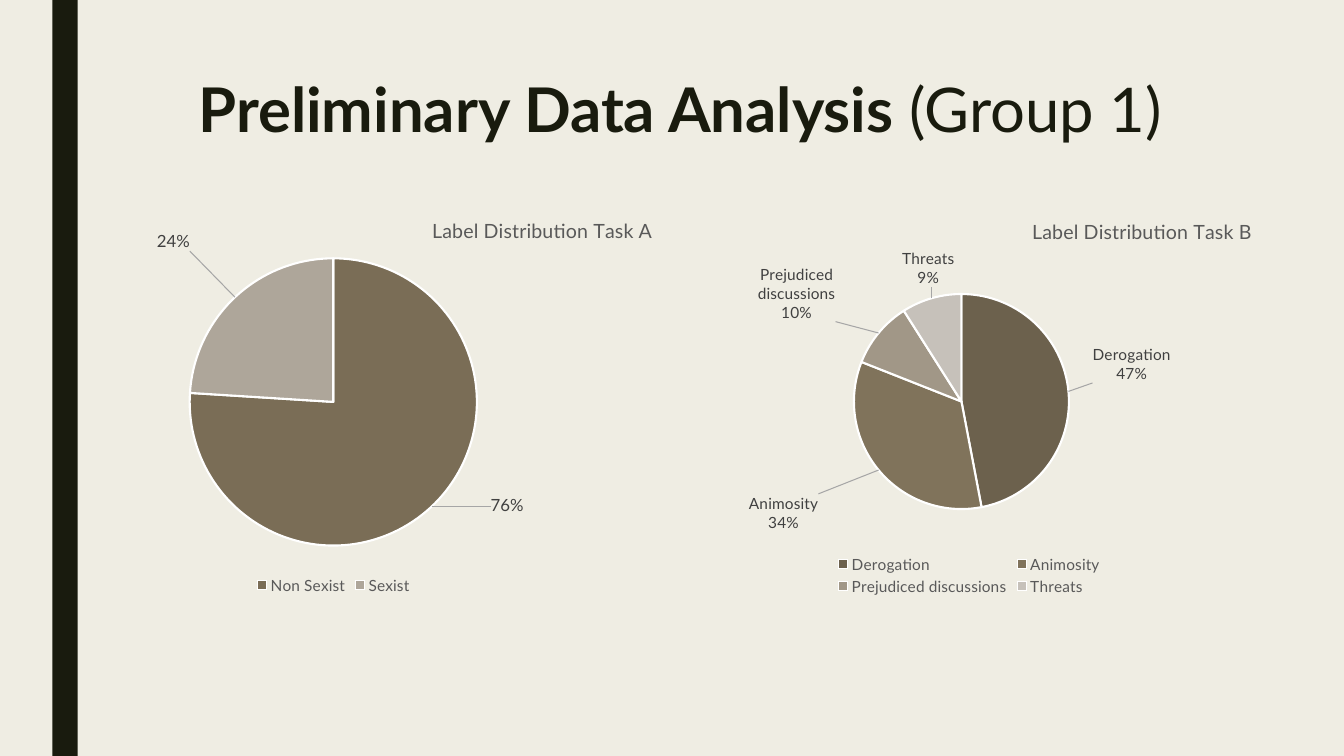
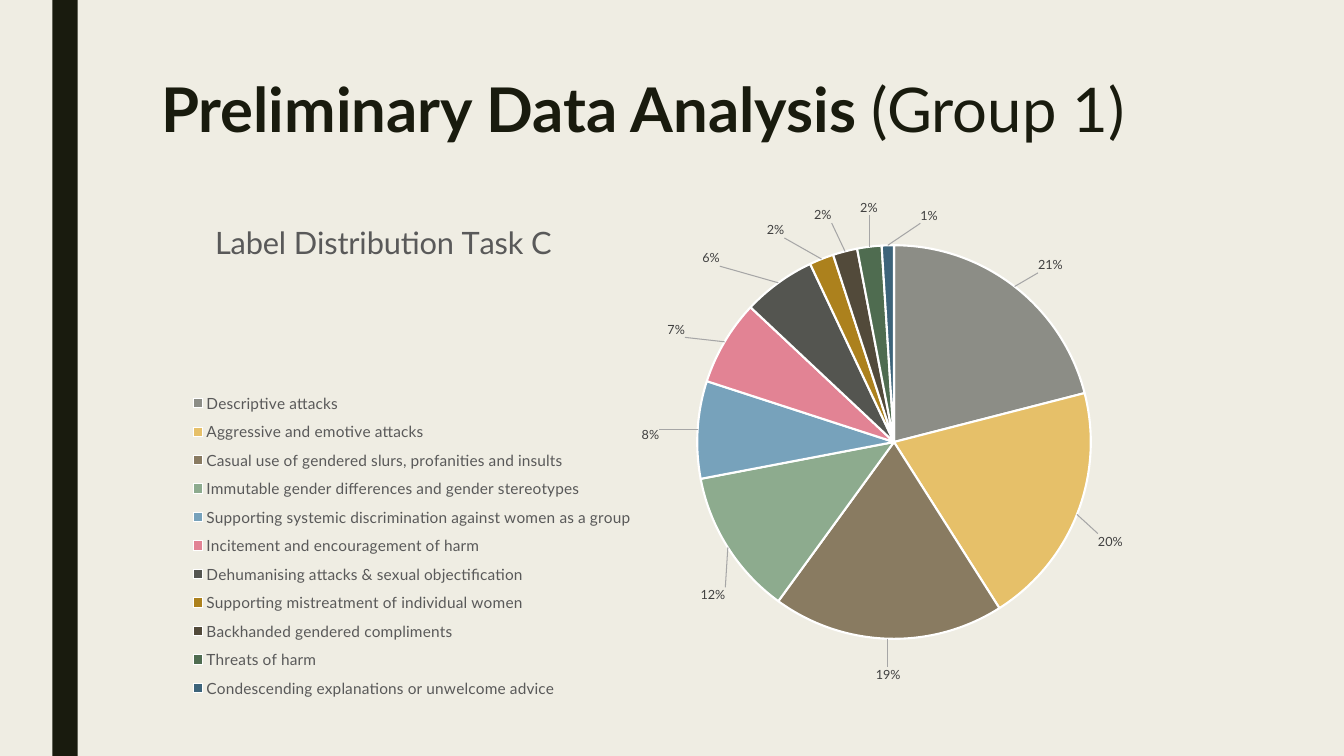
from copy import deepcopy
from dataclasses import dataclass
from math import copysign, cos, pi, sin

from pptx import Presentation
from pptx.chart import data as cd
from pptx.dml import color as dc
from pptx.enum import chart as ec, shapes, text
from pptx.oxml import ns, xmlchemy
from pptx.util import Cm, Pt


@dataclass(frozen=True)
class Theme:
    """Colours, font and type sizes shared by all slides."""
    font: str = "Lato"
    paper: str = "EFEDE3"
    ink: str = "191B0E"
    edge: str = "FFFFFF"
    muted: str = "595959"
    label: str = "404040"
    line: str = "A6A6A6"
    head: int = 44
    base: int = 10
    legend: int = 11


LOOK = Theme()
WIDE, HIGH = 33.87, 19.05

PIES_AB = [
    dict(title="Label Distribution Task A", size=14, spot=(10.8, 5.35),
         box=(-4.93, 4.78, 26.67, 10.31), hub=(8.4, 10.13), rad=3.62,
         label=12, names=False, legend=None,
         rows=[("Non Sexist", 76, "7A6D56", (12.73, 12.68)),
               ("Sexist", 24, "AEA69A", (4.42, 6.12))]),
    dict(title="Label Distribution Task B", size=14, spot=(25.92, 5.38),
         box=(16.18, 4.78, 16.54, 10.31), hub=(24.23, 10.12), rad=2.71,
         label=11, names=True, legend=(21, 13.9, 6.85, 1.2),
         rows=[("Derogation", 47, "6C614D", (28.54, 9.3)),
               ("Animosity", 34, "80735B", (19.78, 12.88)),
               ("Prejudiced discussions", 10, "A19787", (20.2, 7.43)),
               ("Threats", 9, "C6C1BA", (23.52, 6.75))]),
]
PIE_C = dict(
    title="Label Distribution Task C", size=22, spot=(5.28, 5.42),
    box=(3.81, 4.24, 27.84, 14.3), hub=(22.53, 11.14), rad=4.96,
    label=9, names=False, legend=(4.74, 9.68, 11.3, 8.15),
    rows=[
        ("Descriptive attacks", 21, "8C8D86", (26.41, 6.7)),
        ("Aggressive and emotive attacks", 20, "E6C069", (27.97, 13.56)),
        ("Casual use of gendered slurs, profanities and insults", 19,
         "897B61", (22.38, 17.01)),
        ("Immutable gender differences and gender stereotypes", 12,
         "8DAB8E", (17.99, 14.94)),
        ("Supporting systemic discrimination against women as a group", 8,
         "77A2BB", (16.38, 10.96)),
        ("Incitement and encouragement of harm", 7, "E28394", (17.05, 8.37)),
        ("Dehumanising attacks & sexual objectification", 6,
         "545550", (17.97, 6.53)),
        ("Supporting mistreatment of individual women", 2,
         "AC811D", (19.63, 5.8)),
        ("Backhanded gendered compliments", 2, "524A3A", (20.84, 5.42)),
        ("Threats of harm", 2, "4F6C50", (22.02, 5.22)),
        ("Condescending explanations or unwelcome advice", 1,
         "3D647A", (23.41, 5.42)),
    ])


def apply(item, **vals):
    """Set each given attribute on the item."""
    for key, val in vals.items():
        setattr(item, key, val)


def tint(code):
    """Turn a hex code into a colour."""
    return dc.RGBColor.from_string(code)


def style(font, size, code, bold=False):
    """Give a font its face, size, weight and colour."""
    apply(font, name=LOOK.font, size=Pt(size), bold=bold)
    font.color.rgb = tint(code)


def node(tag, val=None):
    """Make a chart XML element, with a val if given."""
    elem = xmlchemy.OxmlElement(tag)
    if val is not None:
        elem.set("val", str(val))
    return elem


def layout(parent, index, vals, edge=True, inner=False):
    """Put a manual layout into a chart part; vals are x, y, w, h."""
    old = parent.find(ns.qn("c:layout"))
    if old is not None:
        parent.remove(old)
    outer, man = node("c:layout"), node("c:manualLayout")
    outer.append(man)
    if inner:
        man.append(node("c:layoutTarget", "inner"))
    if edge:
        for key in "xy":
            man.append(node(f"c:{key}Mode", "edge"))
    for key, val in zip("xywh", vals):
        man.append(node(f"c:{key}", round(val, 4)))
    parent.insert(index, outer)


def share(box, area):
    """Turn a slide area in cm into fractions of the chart box."""
    left, top, wide, high = box
    fracs = [(area[0] - left) / wide, (area[1] - top) / high]
    return fracs + [val / size for val, size in zip(area[2:], (wide, high))]


def side(val):
    """Tell the side of an axis, 0 within five degrees of it."""
    return 0 if abs(val) < sin(pi / 36) else copysign(1, val)


def shift(pie, name, turn, value, goal):
    """Find a label's move from its inside-end place to its goal."""
    point = pie["label"] * 2.54 / 72
    words = name.split() if pie["names"] else []
    wide = max([0.66 * len(f"{value}%")] + [0.5 * len(w) for w in words])
    sizes = wide * point, 1.2 * point * (len(words) + 1)
    moves = []
    for axis, way in enumerate((sin(turn), -cos(turn))):
        inset = side(way) * (sizes[axis] / 2 + 0.15)
        # On an axis the label is centred across it.
        start = pie["hub"][axis] + pie["rad"] * way - inset
        moves.append((goal[axis] - start) / pie["box"][axis + 2])
    return moves


def leader(root):
    """Add thin leader lines to the label set."""
    lines, props = node("c:leaderLines"), node("c:spPr")
    stroke, fill = node("a:ln"), node("a:solidFill")
    stroke.set("w", str(Pt(0.75)))
    fill.append(node("a:srgbClr", LOOK.line))
    stroke.append(fill)
    props.append(stroke)
    lines.append(props)
    root.append(lines)


def mark(series, pie):
    """Label the slices and move each label to its goal."""
    labels = series.data_labels
    apply(labels, show_value=False, show_percentage=True,
          show_category_name=pie["names"], number_format="0%",
          number_format_is_linked=False,
          position=ec.XL_LABEL_POSITION.INSIDE_END)
    style(labels.font, pie["label"], LOOK.label)
    root = labels._element
    for old in root.findall(ns.qn("c:showLeaderLines")):
        root.remove(old)
    gap = node("c:separator")
    gap.text = "\n"
    root.append(gap)
    shared = list(root)
    total, done = sum(row[1] for row in pie["rows"]), 0
    for index, (name, value, _, goal) in enumerate(pie["rows"]):
        turn = 2 * pi * (done + value / 2) / total
        done += value
        item = node("c:dLbl")
        item.append(node("c:idx", index))
        layout(item, 1, shift(pie, name, turn, value, goal), edge=False)
        for part in shared:
            item.append(deepcopy(part))
        root.insert(index, item)
    root.append(node("c:showLeaderLines", 1))
    leader(root)


def draw_pie(slide, pie):
    """Add one pie chart with title, legend and labels."""
    box, rows = pie["box"], pie["rows"]
    data = cd.CategoryChartData()
    data.categories = [row[0] for row in rows]
    data.add_series(pie["title"], [row[1] for row in rows])
    chart = slide.shapes.add_chart(
        ec.XL_CHART_TYPE.PIE, *map(Cm, box), data).chart
    style(chart.font, LOOK.base, "000000")

    apply(chart, has_title=True, has_legend=True)
    frame = chart.chart_title.text_frame
    frame.text = pie["title"]
    style(frame.paragraphs[0].runs[0].font, pie["size"], LOOK.muted)
    layout(chart.chart_title._element, 1, share(box, pie["spot"]))

    legend = chart.legend
    apply(legend, position=ec.XL_LEGEND_POSITION.BOTTOM,
          include_in_layout=False)
    style(legend.font, LOOK.legend, LOOK.muted)
    if pie["legend"]:
        layout(legend._element, 1, share(box, pie["legend"]))

    rad = pie["rad"]
    area = [mid - rad for mid in pie["hub"]] + [2 * rad] * 2
    root = chart._chartSpace.find(".//" + ns.qn("c:plotArea"))
    layout(root, 0, share(box, area), inner=True)

    plot = chart.plots[0]
    plot.vary_by_categories = True
    series = plot.series[0]
    for index, row in enumerate(rows):
        form = series.points[index].format
        form.fill.solid()
        form.fill.fore_color.rgb = tint(row[2])
        form.line.color.rgb = tint(LOOK.edge)
        form.line.width = Pt(1.5)
    mark(series, pie)


def draw_band(slide):
    """Add the dark band at the left."""
    band = slide.shapes.add_shape(
        shapes.MSO_SHAPE.RECTANGLE, Cm(1.32), 0, Cm(0.64), Cm(HIGH))
    band.shadow.inherit = False
    band.fill.solid()
    band.fill.fore_color.rgb = tint(LOOK.ink)
    band.line.fill.background()


def draw_head(slide, align):
    """Add the slide title, bold with a plain ending."""
    frame = slide.shapes.add_textbox(
        *map(Cm, (3.81, 1.9, 26.67, 4.11))).text_frame
    apply(frame, word_wrap=True, vertical_anchor=text.MSO_ANCHOR.TOP)
    para = frame.paragraphs[0]
    apply(para, alignment=align, line_spacing=0.89)
    for words, bold in (("Preliminary Data Analysis ", True),
                        ("(Group 1)", False)):
        run = para.add_run()
        run.text = words
        style(run.font, LOOK.head, LOOK.ink, bold)


def add_page(deck, align, pies):
    """Add a slide with band, title and pies."""
    slide = deck.slides.add_slide(deck.slide_layouts[6])
    draw_band(slide)
    draw_head(slide, align)
    for pie in pies:
        draw_pie(slide, pie)


def main():
    """Build and save the deck."""
    deck = Presentation()
    apply(deck, slide_width=Cm(WIDE), slide_height=Cm(HIGH))
    back = deck.slide_master.background.fill
    back.solid()
    back.fore_color.rgb = tint(LOOK.paper)
    add_page(deck, text.PP_ALIGN.CENTER, PIES_AB)
    add_page(deck, text.PP_ALIGN.LEFT, [PIE_C])
    deck.save("out.pptx")


main()
